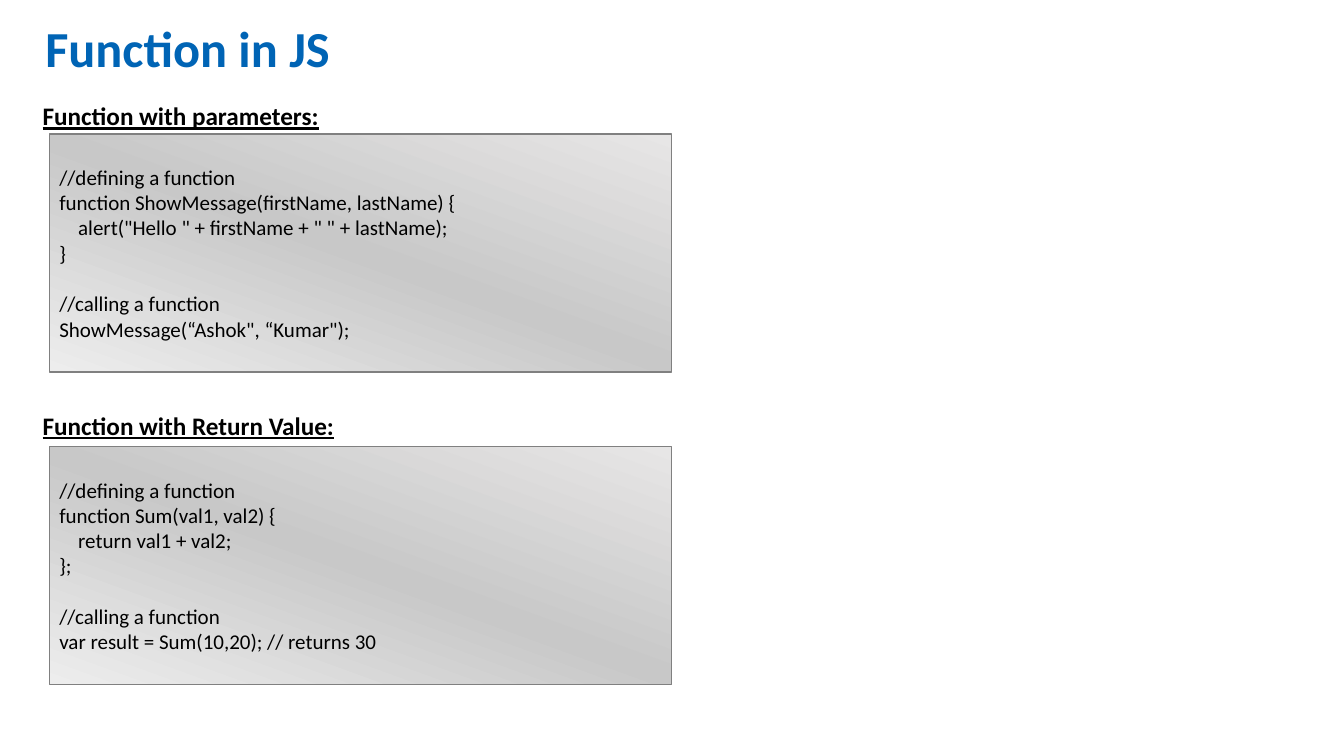
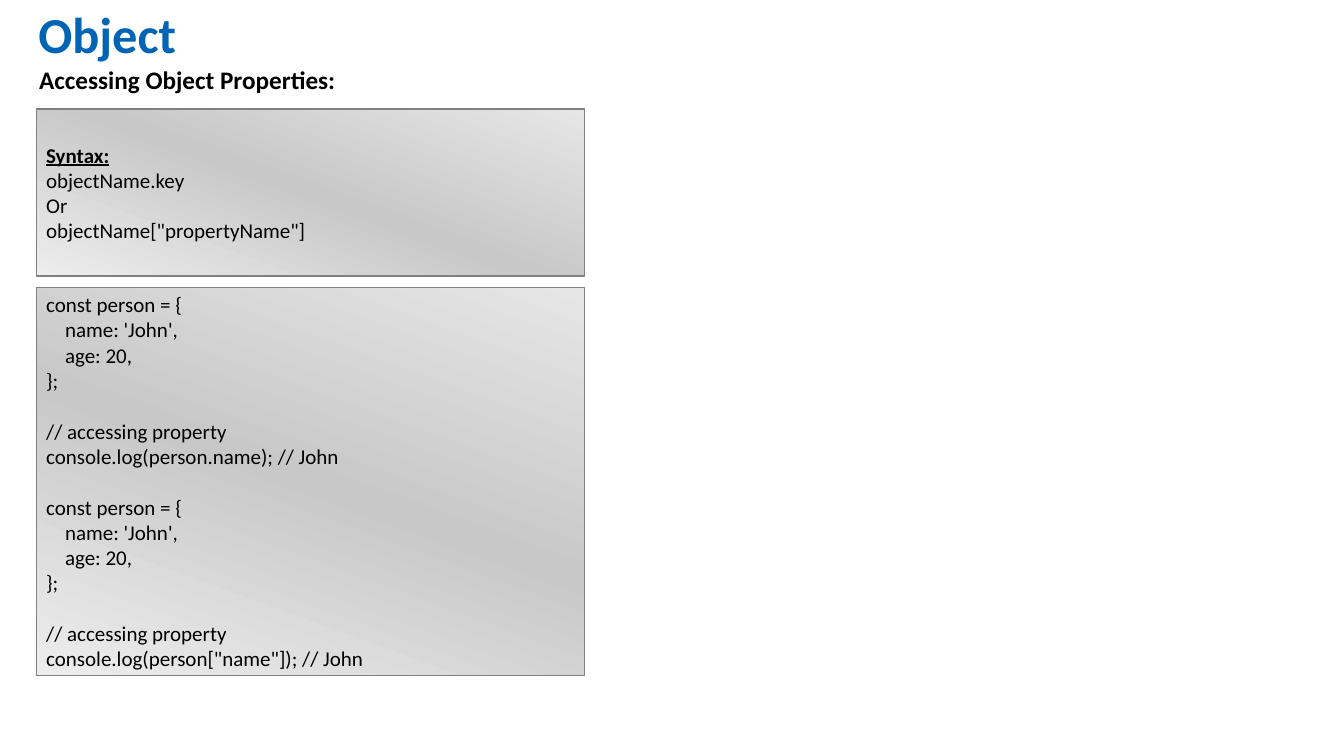
import copy
from dataclasses import dataclass

import pptx
import pptx.dml.color
import pptx.enum.shapes
import pptx.enum.text
import pptx.util

RGBColor = pptx.dml.color.RGBColor
TITLE_BLUE = RGBColor(0x00, 0x64, 0xB5)
BLACK = RGBColor(0x00, 0x00, 0x00)
BORDER_GRAY = RGBColor(0x80, 0x80, 0x80)
PANEL_STOPS = (
    (0, RGBColor(0xE7, 0xE6, 0xE6)),
    (0.5, RGBColor(0xC8, 0xC8, 0xC8)),
    (1, RGBColor(0xED, 0xED, 0xED)),
)
FONT = "Calibri"
TITLE_SIZE, HEADING_SIZE, CODE_SIZE = 36, 18, 15
CODE_LINE = 1.22 * CODE_SIZE    # height of one line of code, in points
CODE_INDENT = 0.9 * CODE_SIZE   # one level of indentation, in points

# Grid: ten columns or rows to the inch
COLUMNS, ROWS = 133.33, 75
CELL = pptx.util.Inches(0.1)


@dataclass
class Box:
    left: float
    top: float
    width: float
    height: float

    def lengths(self):
        return [round(cells * CELL)
                for cells in (self.left, self.top, self.width, self.height)]

    def band(self, top, height):
        """Full-width part of this box, starting at its own row `top`."""
        return Box(self.left, self.top + top, self.width, height)


SHOW_MESSAGE = """//defining a function
function ShowMessage(firstName, lastName) {
    alert("Hello " + firstName + " " + lastName);
}

//calling a function
ShowMessage(“Ashok", “Kumar");"""

SUM = """//defining a function
function Sum(val1, val2) {
    return val1 + val2;
};

//calling a function
var result = Sum(10,20); // returns 30"""

SYNTAX = """Syntax:
objectName.key
Or
objectName["propertyName"]"""

PERSON = """const person = {
    name: 'John',
    age: 20,
};

// accessing property
console.log(person{access}); // John"""

ACCESS = "\n\n".join(PERSON.replace("{access}", access)
                     for access in (".name", '["name"]'))


def write(para, text, size=CODE_SIZE, color=BLACK, bold=False, underline=False):
    para.alignment = pptx.enum.text.PP_ALIGN.LEFT
    span = para.add_run()
    span.text = text
    span.font.name = FONT
    span.font.size = pptx.util.Pt(size)
    span.font.color.rgb = color
    span.font.bold = bold
    span.font.underline = underline


def indent(para, points):
    para._p.get_or_add_pPr().set("marL", str(pptx.util.Pt(points)))


def add_page(deck, title, box):
    """Title-only slide with its title moved to the given box."""
    page = deck.slides.add_slide(deck.slide_layouts[5])
    holder = page.shapes.title
    holder.left, holder.top, holder.width, holder.height = box.lengths()
    frame = holder.text_frame
    frame.auto_size = pptx.enum.text.MSO_AUTO_SIZE.NONE
    frame.vertical_anchor = pptx.enum.text.MSO_ANCHOR.MIDDLE
    para = frame.paragraphs[0]
    para.line_spacing = 0.9
    write(para, title, size=TITLE_SIZE, color=TITLE_BLUE, bold=True)
    return page


def add_heading(page, box, text, underline=False, spacing=1.0, margin=0):
    frame = page.shapes.add_textbox(*box.lengths()).text_frame
    frame.word_wrap = True
    para = frame.paragraphs[0]
    para.line_spacing = spacing
    indent(para, margin)
    write(para, text, size=HEADING_SIZE, bold=True, underline=underline)


def add_code(page, box, code, has_caption=False):
    """Gray panel of code; has_caption makes the first line a caption."""
    panel = page.shapes.add_shape(
        pptx.enum.shapes.MSO_SHAPE.RECTANGLE, *box.lengths())
    panel.shadow.inherit = False
    panel.line.color.rgb = BORDER_GRAY
    panel.line.width = pptx.util.Pt(1)

    # Three-stop gradient, running down from the top right
    panel.fill.gradient()
    panel.fill.gradient_angle = 250
    stop_list = panel.element.xpath(".//a:gsLst")[0]
    stop_list.append(copy.deepcopy(stop_list[0]))
    for stop, (position, color) in zip(panel.fill.gradient_stops, PANEL_STOPS):
        stop.position = position
        stop.color.rgb = color

    # Code lines: an empty line becomes space before the next one
    frame = panel.text_frame
    frame.word_wrap = True
    frame.vertical_anchor = pptx.enum.text.MSO_ANCHOR.MIDDLE
    gap = False
    for number, line in enumerate(code.split("\n")):
        if not line:
            gap = True
            continue
        para = frame.add_paragraph() if number else frame.paragraphs[0]
        if gap:
            para.space_before = pptx.util.Pt(CODE_LINE)
            gap = False
        text = line.lstrip()
        if text != line:
            indent(para, CODE_INDENT)
        caption = has_caption and number == 0
        write(para, text, bold=caption, underline=caption)


def add_function_section(page, box, heading, code, code_row):
    """Underlined heading with its code panel below, inset to the right."""
    heading_box = Box(box.left, box.top, 101, 5.1)
    add_heading(page, heading_box, heading, underline=True, spacing=1.5, margin=9)
    inset = 2.9
    add_code(page, Box(box.left + inset, box.top + code_row,
                       box.width - inset, box.height - code_row), code)


def add_function_slide(deck):
    page = add_page(deck, "Function in JS", Box(3.5, 1.6, 107.1, 6.9))
    add_function_section(page, Box(2, 8, 64.6, 28.9),
                         "Function with parameters:", SHOW_MESSAGE, code_row=5.3)
    add_function_section(page, Box(2, 38.7, 64.6, 29.2),
                         "Function with Return Value:", SUM, code_row=5.6)


def add_object_slide(deck):
    page = add_page(deck, "Object", Box(2.8, 0.2, 107.1, 6.9))
    add_heading(page, Box(2.9, 5.9, 111.9, 4), "Accessing Object Properties:")
    panels = Box(3.6, 10.8, 54.4, 56.2)
    add_code(page, panels.band(0, 16.6), SYNTAX, has_caption=True)
    add_code(page, panels.band(17.7, 38.5), ACCESS)


def main():
    deck = pptx.Presentation()
    deck.slide_width = round(COLUMNS * CELL)
    deck.slide_height = ROWS * CELL
    add_function_slide(deck)
    add_object_slide(deck)
    deck.save("out.pptx")


if __name__ == "__main__":
    main()
